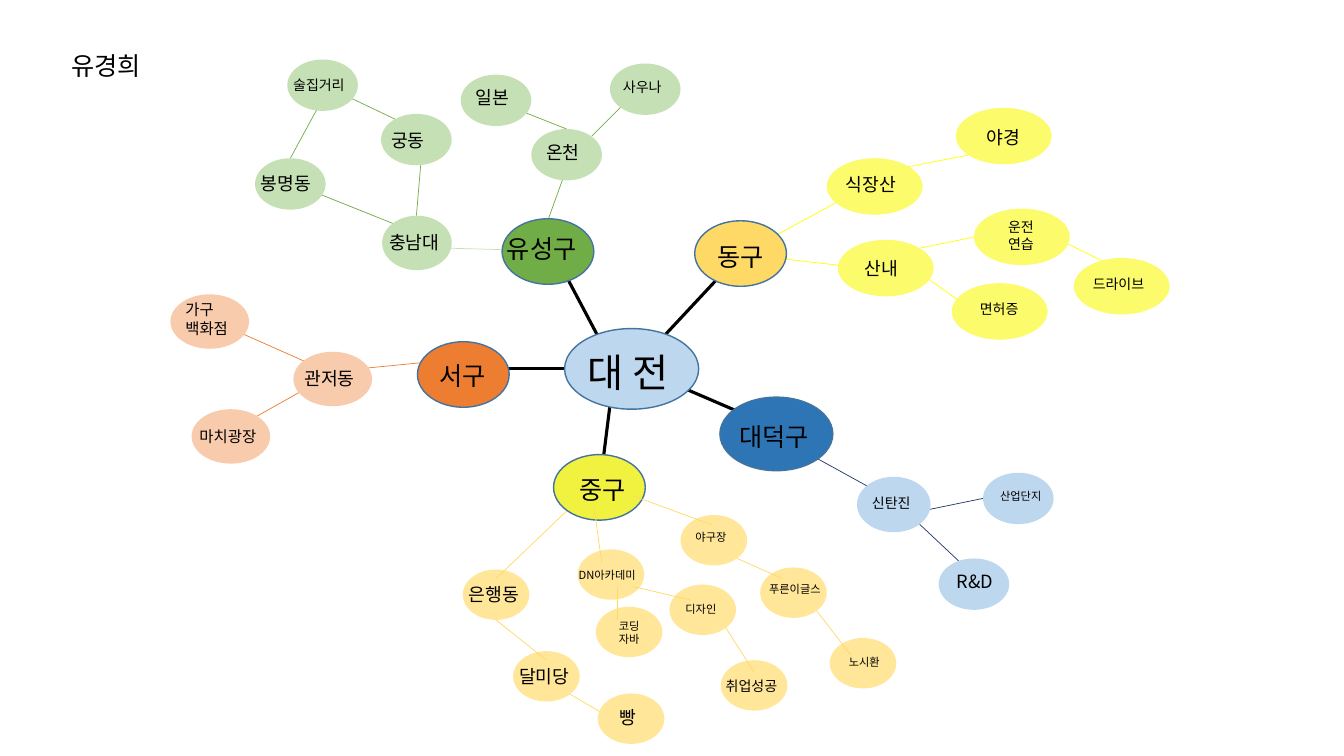
from lxml import etree
from pptx import Presentation
from pptx import util as u
from pptx.dml.color import RGBColor
from pptx.enum import shapes, text
from pptx.oxml import ns

THEME = {
    "font": "Noto Sans CJK KR",
    "text": "000000", "spoke": "000000", "hub_outline": "43739E",
    "center": "BDD7EE", "yuseong": "70AD47", "seo": "ED7D31",
    "jung": "F1F13F", "daedeok": "2E75B6", "dong": "FFD966",
    "green": "C5E0B4", "peach": "F8CBAD", "blue": "BDD7EE",
    "amber": "FFE699", "yellow": "FBFB6B",
    "green_line": "70AD47", "pale_green_line": "C5E0B4", "orange_line": "ED7D31",
    "navy_line": "203864", "yellow_line": "FFFF00", "amber_line": "FFD966",
    "title": 28, "hub": 18, "large": 13, "medium": 11, "small": 10, "tiny": 8,
}

presentation = Presentation()
presentation.slide_width = u.Inches(13.33)
presentation.slide_height = u.Inches(7.5)
slide = presentation.slides.add_slide(presentation.slide_layouts[6])


def add_label(words, left, top, width, size, align=text.PP_ALIGN.LEFT):
    lines = words.split("\n")
    height = 0.1 + len(lines) * THEME[size] / 60
    box = slide.shapes.add_textbox(*map(u.Inches, (left, top, width, height)))
    frame = box.text_frame
    frame.word_wrap = True
    for index, line in enumerate(lines):
        paragraph = frame.paragraphs[0] if index == 0 else frame.add_paragraph()
        paragraph.alignment = align
        run = paragraph.add_run()
        run.text = line
        run.font.size = u.Pt(THEME[size])
        run.font.color.rgb = RGBColor.from_string(THEME["text"])
        run.font.name = THEME["font"]
        east_asian = etree.SubElement(run.font._element, ns.qn("a:ea"))
        east_asian.set("typeface", THEME["font"])


def add_line(points, color, weight):
    line = slide.shapes.add_connector(
        shapes.MSO_CONNECTOR.STRAIGHT, *map(u.Inches, points))
    line.line.color.rgb = RGBColor.from_string(THEME[color])
    line.line.width = u.Pt(weight)
    etree.SubElement(line._element.spPr, ns.qn("a:effectLst"))


back_lines = {
    "amber_line": [(5.54, 6.82, 6.05, 7.12)],
    "green_line": [
        (5.87, 1.35, 6.28, 0.94), (5.44, 2.17, 5.62, 1.67), (3.98, 2.25, 3.08, 1.89),
        (4.13, 2.14, 4.18, 1.55), (2.88, 1.57, 3.2, 0.98), (4.04, 1.24, 3.41, 0.94),
        (5.62, 1.28, 5.09, 1.07)],
    "pale_green_line": [(5.09, 2.48, 4.37, 2.46)],
    "orange_line": [
        (4.27, 3.59, 3.55, 3.66), (3.01, 3.87, 2.44, 4.19), (3.1, 3.62, 2.29, 3.26)],
    "navy_line": [
        (7.98, 4.48, 8.67, 4.86), (9.12, 5.2, 9.62, 5.67), (8.9, 5.12, 9.82, 4.93)],
    "yellow_line": [
        (7.61, 2.38, 8.35, 1.98), (8.93, 1.67, 9.75, 1.51), (7.7, 2.56, 8.48, 2.65),
        (9.07, 2.67, 9.62, 3.06), (9.13, 2.46, 9.82, 2.32), (10.43, 2.34, 11.12, 2.68)],
    "spoke": [
        (5.97, 3.41, 5.6, 2.71), (5.66, 3.66, 4.94, 3.66), (6.06, 3.94, 5.97, 4.66),
        (6.64, 3.79, 7.43, 4.13), (6.58, 3.34, 7.14, 2.74)],
}
front_lines = {
    "amber_line": [
        (5.62, 5.07, 4.92, 5.74), (5.89, 5.02, 5.97, 5.59), (6.28, 4.92, 7.07, 5.21),
        (7.31, 5.54, 7.76, 5.74), (8.1, 6.06, 8.44, 6.5), (6.12, 5.83, 6.12, 6.15),
        (6.28, 5.82, 6.84, 5.95), (7.2, 6.23, 7.48, 6.67), (4.92, 6.15, 5.42, 6.55)],
}

LEFT, CENTER = text.PP_ALIGN.LEFT, text.PP_ALIGN.CENTER
hubs = [
    ("대 전", "center", (5.6, 3.26, 1.33, 0.8), (5.53, 3.41, 1.4), "title", CENTER),
    ("유성구", "yuseong", (4.98, 2.17, 0.91, 0.65), (4.93, 2.27, 1.33), "hub", LEFT),
    ("서구", "seo", (4.14, 3.39, 0.91, 0.65), (3.92, 3.53, 1.33), "hub", CENTER),
    ("중구", "jung", (5.49, 4.51, 0.91, 0.65), (5.31, 4.66, 1.33), "hub", CENTER),
    ("대덕구", "daedeok", (7.14, 3.94, 1.12, 0.73), (7.01, 4.13, 1.33), "hub", CENTER),
    ("동구", "dong", (6.89, 2.19, 0.91, 0.65), (6.68, 2.34, 1.33), "hub", CENTER),
]

branches = {
    ("green", 0.7, 0.51): [
        ("온천", 5.27, 1.28, (5.32, 1.35, 0.6), "large"),
        ("사우나", 6.05, 0.63, (6.08, 0.73, 0.75), "small"),
        ("봉명동", 2.53, 1.57, (2.49, 1.66, 0.79), "large"),
        ("궁동", 3.78, 1.13, (3.78, 1.23, 0.79), "large"),
        ("술집거리", 2.85, 0.59, (2.81, 0.71, 0.79), "small"),
        ("일본", 4.57, 0.74, (4.62, 0.81, 0.6), "large")],
    ("green", 0.69, 0.54): [
        ("충남대", 3.79, 2.14, (3.76, 2.25, 0.75), "large")],
    ("blue", 0.73, 0.55): [
        ("신탄진", 8.5, 4.73, (8.55, 4.86, 0.7), "small")],
    ("blue", 0.7, 0.51): [
        ("산업단지", 9.75, 4.69, (9.82, 4.81, 0.65), "tiny"),
        ("R&D", 9.31, 5.54, (9.39, 5.61, 0.59), "large")],
    ("amber", 0.66, 0.5): [
        ("은행동", 4.59, 5.65, (4.55, 5.74, 0.75), "large"),
        ("달미당", 5.09, 6.46, (5.05, 6.55, 0.75), "large"),
        ("DN아카데미", 5.73, 5.45, (5.64, 5.59, 0.84), "tiny"),
        ("취업성공", 7.15, 6.55, (7.1, 6.67, 0.76), "small"),
        ("빵", 5.93, 6.88, (6.05, 6.96, 0.38), "large"),
        ("디자인", 6.64, 5.8, (6.7, 5.93, 0.54), "tiny"),
        ("코딩\n자바", 5.91, 6.02, (6.04, 6.09, 0.43), "tiny"),
        ("야구장", 6.75, 5.11, (6.8, 5.21, 0.54), "tiny"),
        ("푸른이글스", 7.54, 5.63, (7.53, 5.73, 0.76), "tiny"),
        ("노시환", 8.23, 6.33, (8.32, 6.45, 0.54), "tiny")],
    ("peach", 0.78, 0.54): [
        ("관저동", 2.91, 3.49, (2.92, 3.59, 0.75), "large"),
        ("가구\n백화점", 1.69, 2.92, (1.74, 2.93, 0.66), "medium"),
        ("마치광장", 1.9, 4.06, (1.88, 4.19, 0.82), "medium")],
    ("yellow", 0.95, 0.56): [
        ("식장산", 8.2, 1.57, (8.29, 1.67, 0.75), "large"),
        ("야경", 9.48, 1.07, (9.69, 1.2, 0.57), "large"),
        ("산내", 8.31, 2.38, (8.48, 2.5, 0.57), "large"),
        ("운전\n연습", 9.66, 2.07, (9.9, 2.12, 0.53), "small"),
        ("면허증", 9.44, 2.81, (9.62, 2.93, 0.62), "small"),
        ("드라이브", 10.65, 2.56, (10.74, 2.68, 0.76), "small")],
}
leaves = [
    (words, fill, (left, top, width, height), label, size, LEFT)
    for (fill, width, height), members in branches.items()
    for words, left, top, label, size in members]

for color, routes in back_lines.items():
    for points in routes:
        add_line(points, color, 2.25 if color == "spoke" else 0.5)

for node in hubs + leaves:
    words, fill, bounds, label, size, align = node
    ellipse = slide.shapes.add_shape(shapes.MSO_SHAPE.OVAL, *map(u.Inches, bounds))
    ellipse.shadow.inherit = False
    ellipse.fill.solid()
    ellipse.fill.fore_color.rgb = RGBColor.from_string(THEME[fill])
    if node in hubs:
        ellipse.line.color.rgb = RGBColor.from_string(THEME["hub_outline"])
        ellipse.line.width = u.Pt(1)
    else:
        ellipse.line.fill.background()
    add_label(words, *label, size=size, align=align)

for color, routes in front_lines.items():
    for points in routes:
        add_line(points, color, 0.5)

add_label("유경희", 0.61, 0.45, 0.96, size="hub")

presentation.save("out.pptx")
